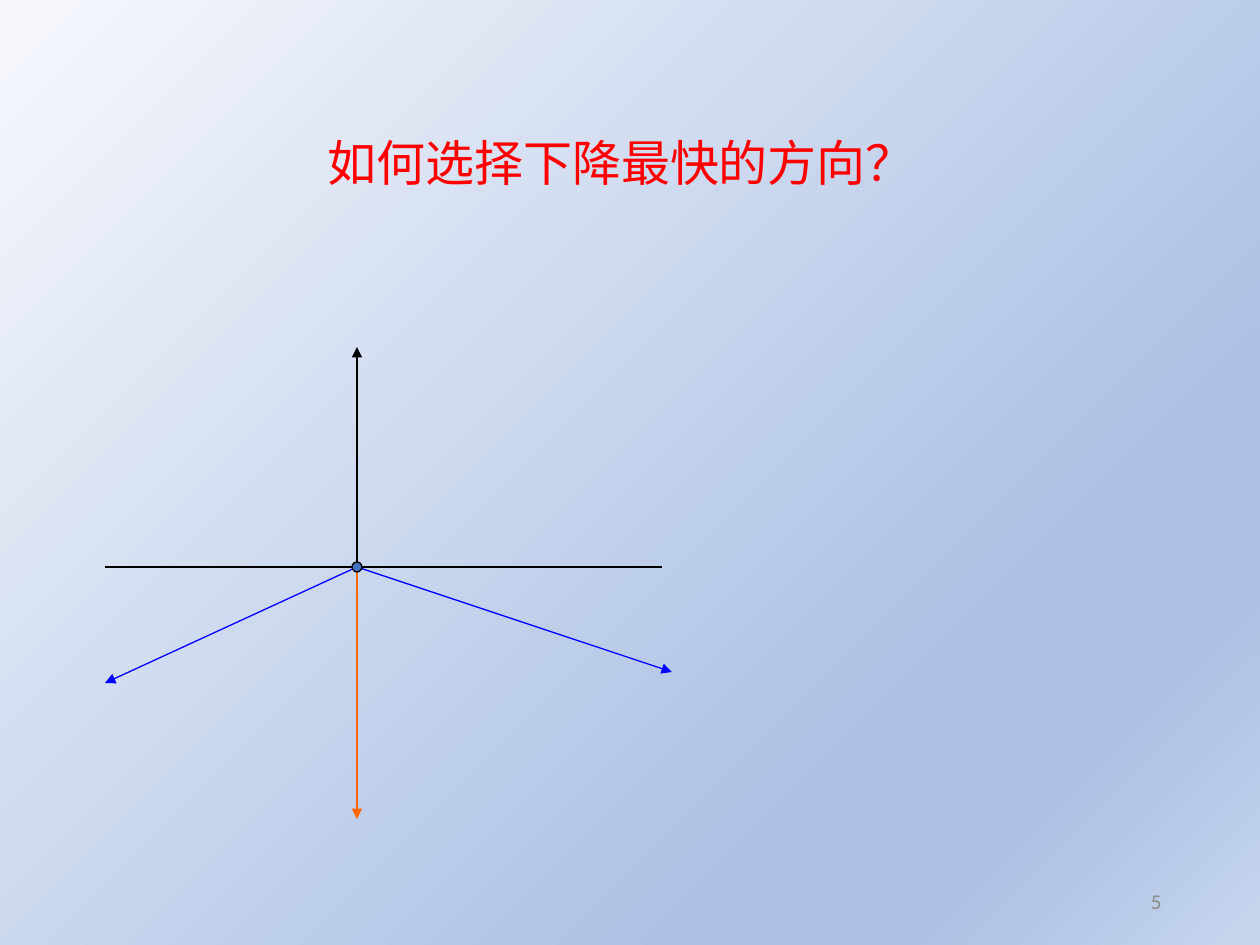
from lxml import etree
from pptx import Presentation
from pptx.dml.color import RGBColor
from pptx.enum.shapes import MSO_CONNECTOR, MSO_SHAPE
from pptx.enum.text import MSO_ANCHOR, PP_ALIGN
from pptx.oxml.ns import qn
from pptx.util import Emu, Pt

STRAIGHT = MSO_CONNECTOR.STRAIGHT
OVAL = MSO_SHAPE.OVAL
TOP, MIDDLE = MSO_ANCHOR.TOP, MSO_ANCHOR.MIDDLE
LEFT, RIGHT = PP_ALIGN.LEFT, PP_ALIGN.RIGHT

TITLE_ONLY = 5
EMU_PER_PX = 914400 / 126
LINE_WIDTH = Pt(0.75)
BLACK, BLUE, ORANGE = "000000", "0000FF", "FF6600"
GRADIENT = [(0, "F6F8FC"), (74, "ABC0E4"), (83, "ABC0E4"), (100, "C7D5ED")]
ORIGIN = (357, 567)
DOT_SIZE = 10


def px(length):
    return Emu(round(length * EMU_PER_PX))


def color(value):
    return RGBColor.from_string(value)


def paint_background(page):
    """Fill the page with a diagonal gradient of several stops."""
    fill = page.background.fill
    fill.gradient()
    fill.gradient_angle = 315
    stops = page.element.find(".//" + qn("a:gsLst"))
    for stop in list(stops):
        stops.remove(stop)
    for percent, value in GRADIENT:
        stop = etree.SubElement(stops, qn("a:gs"), pos=str(percent * 1000))
        etree.SubElement(stop, qn("a:srgbClr"), val=value)


def write_text(box, area, text, size, value, align, anchor):
    box.left, box.top, box.width, box.height = map(px, area)
    frame = box.text_frame
    frame.word_wrap = True
    frame.vertical_anchor = anchor
    para = frame.paragraphs[0]
    para.alignment = align
    para.space_before = Pt(0)
    span = para.add_run()
    span.text = text
    span.font.name = "Calibri"
    span.font.size = Pt(size)
    span.font.color.rgb = color(value)


def add_line(page, start, end, value, arrow=True):
    line = page.shapes.add_connector(STRAIGHT, *map(px, start + end))
    line.line.color.rgb = color(value)
    line.line.width = LINE_WIDTH
    properties = line.element.spPr
    if arrow:
        outline = properties.find(qn("a:ln"))
        etree.SubElement(outline, qn("a:tailEnd"), type="triangle")
    etree.SubElement(properties, qn("a:effectLst"))


def add_dot(page, center, size):
    x, y = center
    area = (x - size / 2, y - size / 2, size, size)
    dot = page.shapes.add_shape(OVAL, *map(px, area))
    dot.shadow.inherit = False
    dot.fill.solid()
    dot.fill.fore_color.rgb = color("4472C4")
    dot.line.color.rgb = color(BLACK)
    dot.line.width = LINE_WIDTH


def main():
    deck = Presentation()
    deck.slide_width, deck.slide_height = px(1260), px(945)
    page = deck.slides.add_slide(deck.slide_layouts[TITLE_ONLY])
    paint_background(page)
    write_text(page.shapes.title, (315, 126, 633, 72),
               "如何选择下降最快的方向？", 28, "FF0000", LEFT, TOP)

    x, y = ORIGIN
    add_line(page, ORIGIN, (x, 347), BLACK)
    add_line(page, (105, y), (662, y), BLACK, arrow=False)
    add_line(page, ORIGIN, (105, 683), BLUE)
    add_line(page, ORIGIN, (672, 672), BLUE)
    add_line(page, ORIGIN, (x, 819), ORANGE)
    add_dot(page, ORIGIN, DOT_SIZE)

    number = page.shapes.add_textbox(0, 0, 0, 0)
    write_text(number, (890, 876, 284, 50), "5", 12, "8C8C8C", RIGHT, MIDDLE)
    deck.save("out.pptx")


if __name__ == "__main__":
    main()
